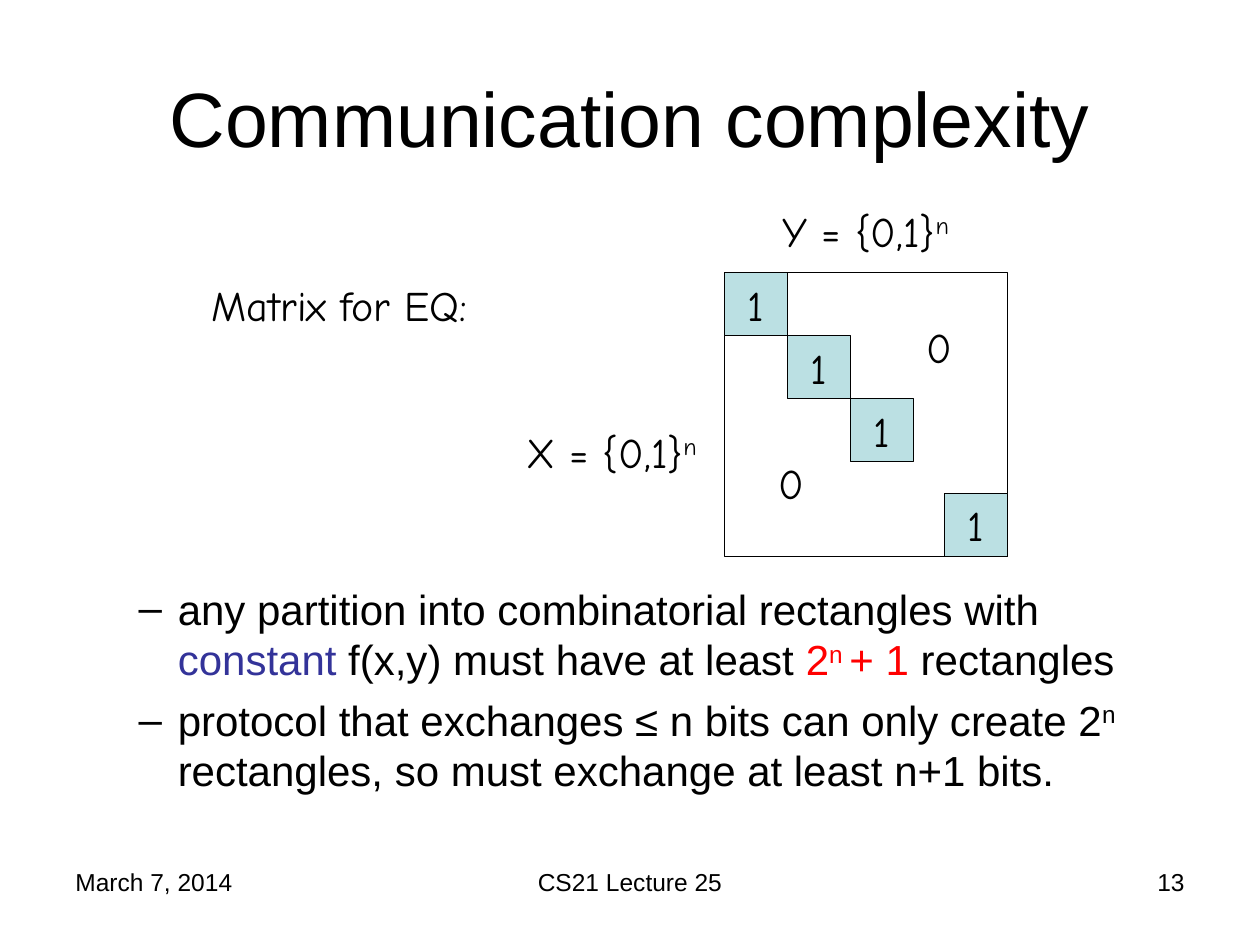
import pptx
import pptx.dml.color
import pptx.enum.shapes
import pptx.enum.text
import pptx.oxml.ns
import pptx.util
from lxml import etree

Cm = pptx.util.Cm
Pt = pptx.util.Pt
ALIGN = pptx.enum.text.PP_ALIGN
ANCHOR = pptx.enum.text.MSO_ANCHOR
BLACK, BLUE, RED, TEAL = "000000", "333399", "FF0000", "BBE0E3"
HAND = "Comic Neue"

TITLE = "Communication complexity"
BULLETS = [
    [("any partition into combinatorial rectangles with ",), ("constant", BLUE),
     (" f(x,y) must have at least ",), ("2", RED), ("n ", RED, True), ("+ 1", RED),
     (" rectangles",)],
    [("protocol that exchanges ≤ n bits can only create 2",), ("n", BLACK, True),
     (" rectangles, so must exchange at least n+1 bits.",)],
]
FOOTERS = [
    ("March 7, 2014", 1.27, 5.93, ALIGN.LEFT),
    ("CS21 Lecture 25", 8.68, 8.04, ALIGN.CENTER),
    ("13", 18.2, 5.93, ALIGN.RIGHT),
]
LABELS = [
    ([("X = {0,1}",), ("n", BLACK, True)], 10.37, 8.47, 5.29),
    ([("Y = {0,1}",), ("n", BLACK, True)], 15.53, 4.02, 3.86),
    ([("0",)], 15.45, 9.1, 1.48),
    ([("0",)], 18.42, 6.35, 1.48),
    ([("Matrix for EQ:",)], 4.02, 5.5, 6.56),
]
MATRIX_LEFT, MATRIX_TOP, CELL = 14.6, 5.5, 1.27
MATRIX_CELLS = 4.5
DIAGONAL = [0, 1, 2, 3.5]


def color(value):
    """Turn a hex string into a colour."""
    return pptx.dml.color.RGBColor.from_string(value)


def place(shape, left, top, width, height):
    """Move and size a shape in centimetres."""
    shape.left, shape.top, shape.width, shape.height = map(Cm, (left, top, width, height))


def write(paragraph, runs, size, font="Arial", align=ALIGN.LEFT):
    """Add formatted runs of text, colour and superscript flag to a paragraph."""
    paragraph.alignment = align
    for text, *style in runs:
        run = paragraph.add_run()
        run.text = text
        run.font.name = font
        run.font.size = Pt(size)
        run.font.color.rgb = color(style[0] if style else BLACK)
        if len(style) > 1:
            run._r.get_or_add_rPr().set("baseline", "30000")


def add_dash(paragraph):
    """Give a paragraph a hanging dash bullet."""
    properties = paragraph._p.get_or_add_pPr()
    properties.set("marL", str(Cm(2.06)))
    properties.set("indent", str(Cm(-0.79)))
    bullet_color = etree.SubElement(properties, pptx.oxml.ns.qn("a:buClr"))
    etree.SubElement(bullet_color, pptx.oxml.ns.qn("a:srgbClr"), val=BLACK)
    etree.SubElement(properties, pptx.oxml.ns.qn("a:buFont"), typeface="Arial")
    etree.SubElement(properties, pptx.oxml.ns.qn("a:buChar"), char="–")


def add_label(slide, runs, left, top, width, height, size, font, align=ALIGN.LEFT):
    """Add a wrapped text box."""
    shape = slide.shapes.add_textbox(0, 0, 0, 0)
    place(shape, left, top, width, height)
    shape.text_frame.word_wrap = True
    write(shape.text_frame.paragraphs[0], runs, size, font, align)


def add_square(slide, offset, cells, fill=None):
    """Add an outlined square on the matrix diagonal."""
    shape = slide.shapes.add_shape(pptx.enum.shapes.MSO_SHAPE.RECTANGLE, 0, 0, 0, 0)
    place(shape, MATRIX_LEFT + offset * CELL, MATRIX_TOP + offset * CELL,
          cells * CELL, cells * CELL)
    shape.shadow.inherit = False
    shape.line.color.rgb = color(BLACK)
    shape.line.width = Pt(0.75)
    if fill:
        shape.fill.solid()
        shape.fill.fore_color.rgb = color(fill)
    else:
        shape.fill.background()
    return shape


def main():
    """Build the slide and save it."""
    presentation = pptx.Presentation()
    presentation.slide_width, presentation.slide_height = Cm(25.4), Cm(19.05)
    slide = presentation.slides.add_slide(presentation.slide_layouts[1])

    title, body = slide.placeholders
    place(title, 1.27, 0.76, 22.86, 3.18)
    title.text_frame.vertical_anchor = ANCHOR.MIDDLE
    write(title.text_frame.paragraphs[0], [(TITLE,)], 44, align=ALIGN.CENTER)

    place(body, 1.27, 11.63, 22.86, 5.38)
    body.text_frame.auto_size = pptx.enum.text.MSO_AUTO_SIZE.NONE
    for index, runs in enumerate(BULLETS):
        frame = body.text_frame
        paragraph = frame.add_paragraph() if index else frame.paragraphs[0]
        paragraph.level = 1
        add_dash(paragraph)
        paragraph.space_before = Pt(6 if index else 0)
        write(paragraph, runs, 24)

    for text, left, width, align in FOOTERS:
        add_label(slide, [(text,)], left, 17.35, width, 1.32, 14, "Arial", align)

    add_square(slide, 0, MATRIX_CELLS)
    for offset in DIAGONAL:
        frame = add_square(slide, offset, 1, TEAL).text_frame
        frame.vertical_anchor = ANCHOR.TOP
        write(frame.paragraphs[0], [("1",)], 24, HAND, ALIGN.CENTER)

    for runs, left, top, width in LABELS:
        add_label(slide, runs, left, top, width, CELL, 24, HAND)

    presentation.save("out.pptx")


if __name__ == "__main__":
    main()
